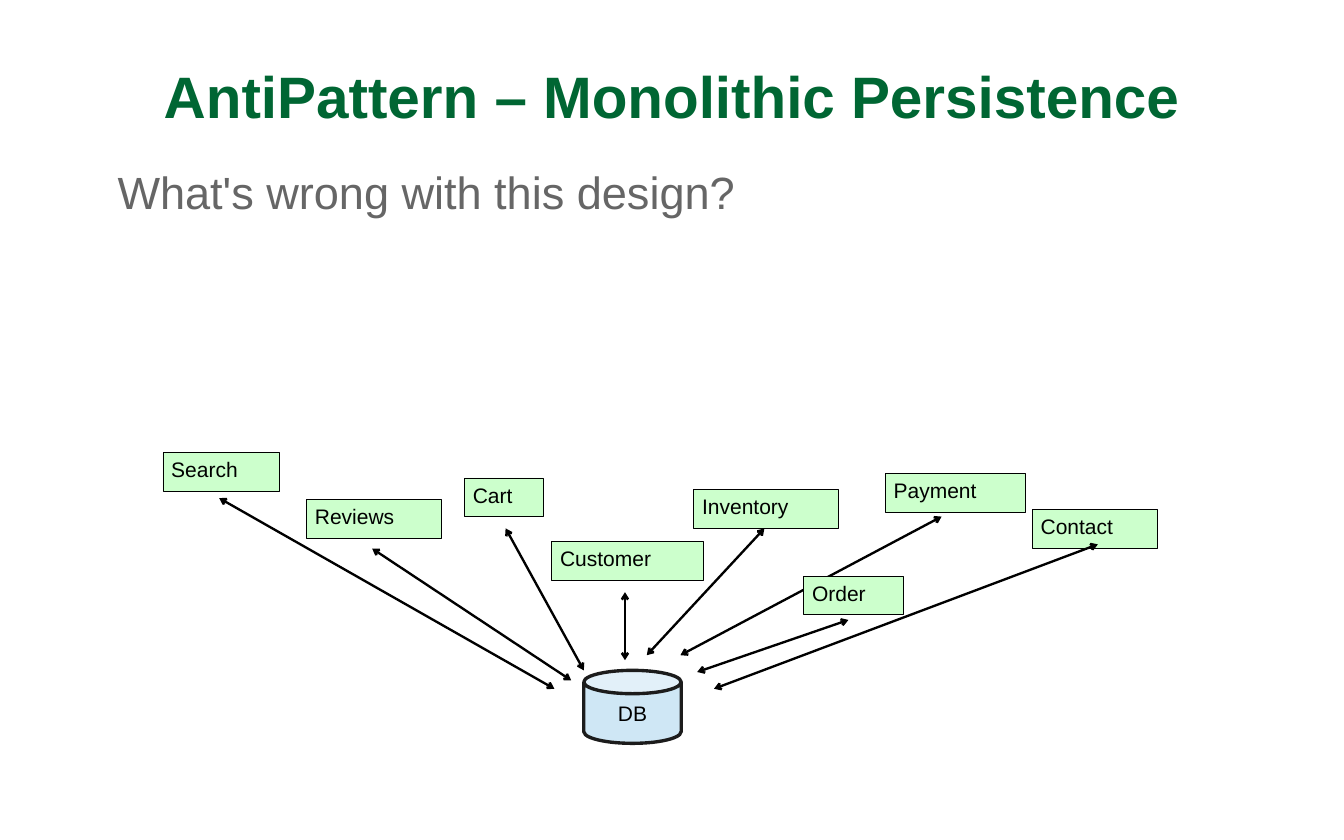
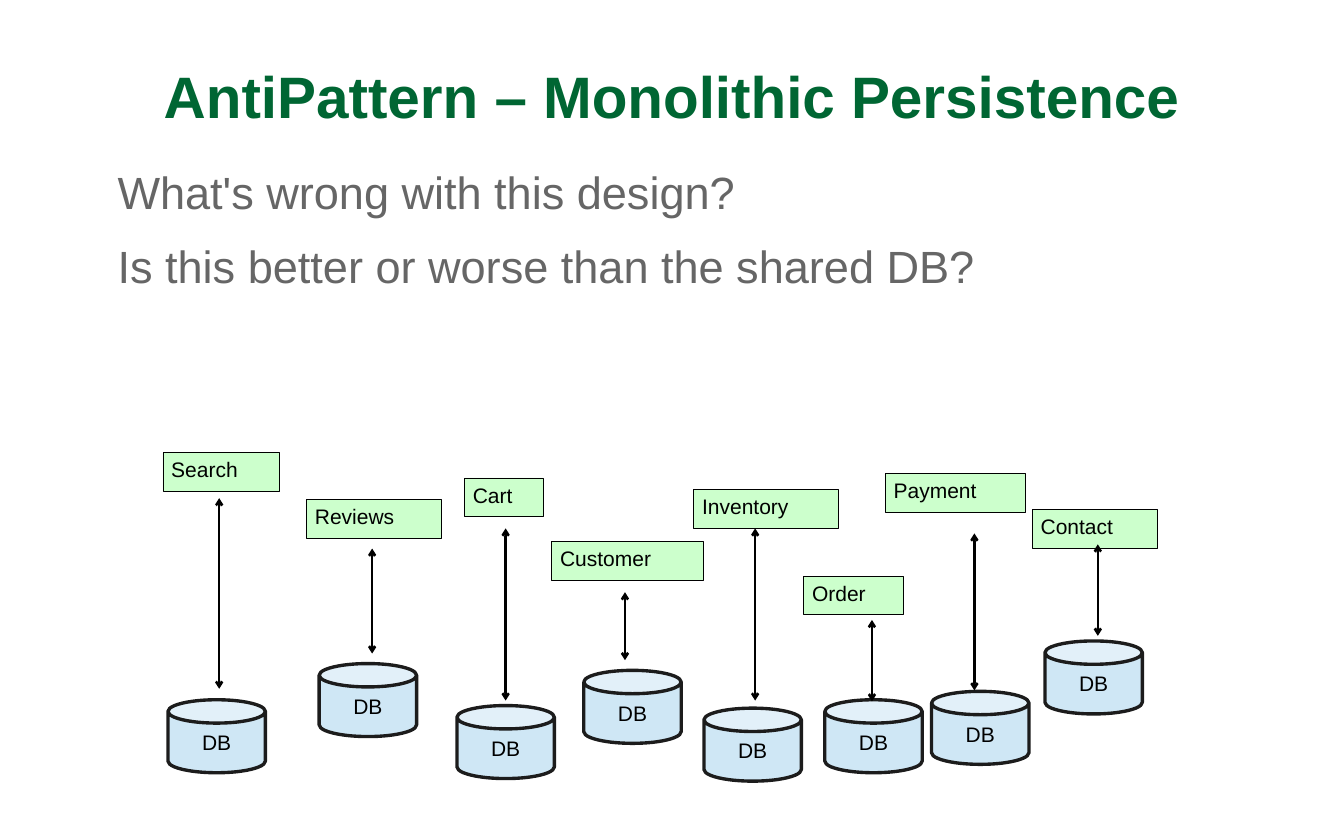
"""Builds two slides on the monolithic persistence antipattern."""
from lxml import etree
from pptx import Presentation
from pptx.dml.color import RGBColor
from pptx.enum.shapes import MSO_CONNECTOR, MSO_SHAPE
from pptx.enum.text import MSO_ANCHOR, PP_ALIGN
from pptx.oxml.ns import qn
from pptx.util import Pt

RECT, CAN = MSO_SHAPE.RECTANGLE, MSO_SHAPE.CAN
STRAIGHT = MSO_CONNECTOR.STRAIGHT
TOP, MIDDLE = MSO_ANCHOR.TOP, MSO_ANCHOR.MIDDLE
LEFT, CENTER = PP_ALIGN.LEFT, PP_ALIGN.CENTER

FONT = "Arial"
BLACK, GREEN, GRAY = "000000", "006633", "666666"
BOX_FILL, DB_FILL, DB_LINE = "CCFFCC", "CFE7F5", "1C1C1C"
BOX_HEIGHT = 33.2
DB_SIZE = (83.5, 62.6)

TITLE = "AntiPattern – Monolithic Persistence"
QUESTIONS = [
    "What's wrong with this design?",
    "Is this better or worse than the shared DB?",
]
BOXES = {
    "Search": (139.7, 388.1, 100.1),
    "Reviews": (262.8, 428.4, 115.9),
    "Cart": (398.2, 409.7, 67.7),
    "Customer": (473, 464.4, 129.6),
    "Inventory": (594.7, 419.8, 123.8),
    "Payment": (758.9, 406.1, 120.2),
    "Contact": (884.9, 437, 107.3),
    "Order": (689, 493.9, 85),
}
SHARED_DB = (500.4, 574.6)
SHARED_ARROWS = {
    "Search": (187.9, 427, 475.2, 590.4),
    "Reviews": (319, 470.2, 489.6, 583.2),
    "Cart": (433.4, 452.9, 500.4, 574.6),
    "Customer": (535.7, 507.6, 535.7, 565.9),
    "Inventory": (655.2, 452.9, 554.4, 561.6),
    "Payment": (807.1, 442.8, 583.2, 561.6),
    "Contact": (941, 466.6, 612, 590.4),
    "Order": (727.2, 531.4, 597.6, 576),
}
OWN_DBS = {
    "Search": (144, 599.8),
    "Reviews": (273.6, 568.8),
    "Cart": (391.7, 604.8),
    "Customer": SHARED_DB,
    "Inventory": (603.4, 607),
    "Payment": (798.5, 592.6),
    "Contact": (895.7, 549.4),
    "Order": (707, 599.8),
}
OWN_ARROWS = {
    "Search": (187.9, 427, 590.4),
    "Reviews": (319, 470.2, 560.2),
    "Cart": (433.4, 452.9, 600.5),
    "Customer": (535.7, 507.6, 565.9),
    "Inventory": (647.3, 452.9, 600.5),
    "Payment": (835.2, 457.2, 591.8),
    "Contact": (941, 466.6, 545),
    "Order": (747.4, 531.4, 601.2),
}


def color(value):
    """Return the colour for a hex string."""
    return RGBColor.from_string(value)


def write(sp, lines, size, fill, align, anchor, inset=(0, 0), bold=False, after=0):
    """Write lines of text as paragraphs of a shape."""
    tf = sp.text_frame
    tf.word_wrap = True
    tf.vertical_anchor = anchor
    tf.margin_left = tf.margin_right = Pt(inset[0])
    tf.margin_top = tf.margin_bottom = Pt(inset[1])
    for i, line in enumerate(lines):
        p = tf.add_paragraph() if i else tf.paragraphs[0]
        p.text = line
        p.alignment = align
        p.space_after = Pt(after)
        p.font.name = FONT
        p.font.size = Pt(size)
        p.font.bold = bold
        p.font.color.rgb = color(fill)


def add_text(s, at, *args, **kwargs):
    """Add a text box."""
    write(s.shapes.add_textbox(*map(Pt, at)), *args, **kwargs)


def add_shape(s, kind, at, fill, line, width):
    """Add a filled and outlined preset shape."""
    sp = s.shapes.add_shape(kind, *map(Pt, at))
    sp.shadow.inherit = False
    sp.fill.solid()
    sp.fill.fore_color.rgb = color(fill)
    sp.line.color.rgb = color(line)
    sp.line.width = Pt(width)
    return sp


def add_box(s, name):
    """Add the box of a service."""
    left, top, width = BOXES[name]
    sp = add_shape(s, RECT, (left, top, width, BOX_HEIGHT), BOX_FILL, BLACK, 0)
    write(sp, [name], 18, BLACK, LEFT, TOP, (7.2, 3.6))


def add_db(s, at):
    """Add a database cylinder."""
    sp = add_shape(s, CAN, (*at, *DB_SIZE), DB_FILL, DB_LINE, 2.89)
    sp.adjustments[0] = 0.32
    write(sp, ["DB"], 18, BLACK, CENTER, MIDDLE)


def add_arrow(s, ends):
    """Add a hairline with an open arrowhead at both ends."""
    cn = s.shapes.add_connector(STRAIGHT, *map(Pt, ends))
    cn.line.color.rgb = color(BLACK)
    cn.line.width = Pt(0)
    ln = cn.line._get_or_add_ln()
    for tag in ("a:headEnd", "a:tailEnd"):
        etree.SubElement(ln, qn(tag), type="arrow")
    etree.SubElement(cn._element.spPr, qn("a:effectLst"))


def add_slide(prs, questions, dbs, arrows):
    """Add a slide with title, questions and the services with their databases."""
    s = prs.slides.add_slide(prs.slide_layouts[6])
    add_text(s, (82, 21.6, 987, 120), [TITLE], 50.1, GREEN, CENTER, MIDDLE, bold=True)
    add_text(s, (100.8, 141, 958, 104), questions, 38.7, GRAY, LEFT, TOP, after=17.1)
    for at in dbs:
        add_db(s, at)
    for name in BOXES:
        add_box(s, name)
        add_arrow(s, arrows[name])


def main():
    """Build and save the presentation."""
    prs = Presentation()
    prs.slide_width, prs.slide_height = Pt(1152), Pt(720)
    add_slide(prs, QUESTIONS[:1], [SHARED_DB], SHARED_ARROWS)
    vertical = {name: (x, y1, x, y2) for name, (x, y1, y2) in OWN_ARROWS.items()}
    add_slide(prs, QUESTIONS, OWN_DBS.values(), vertical)
    prs.save("out.pptx")


if __name__ == "__main__":
    main()
